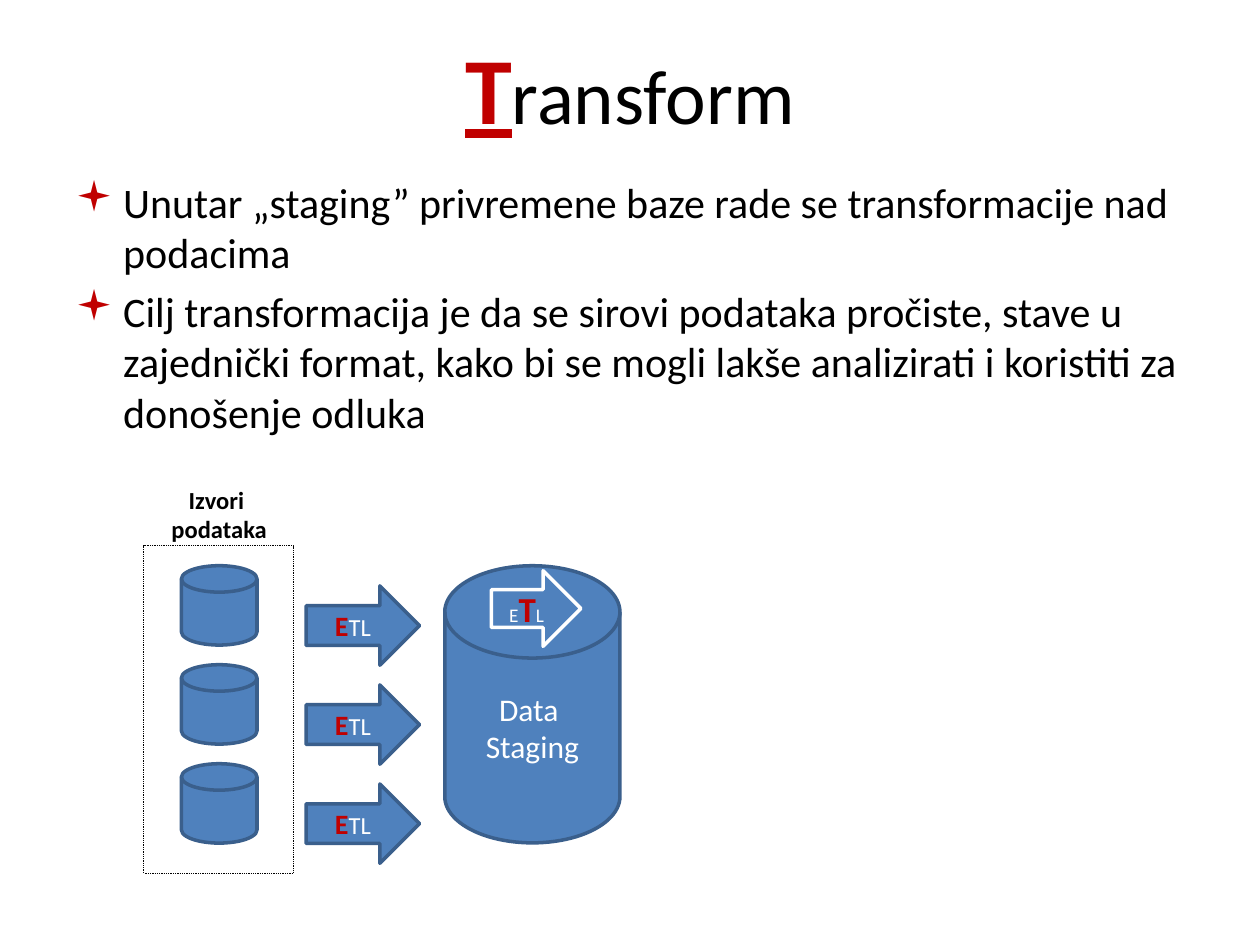
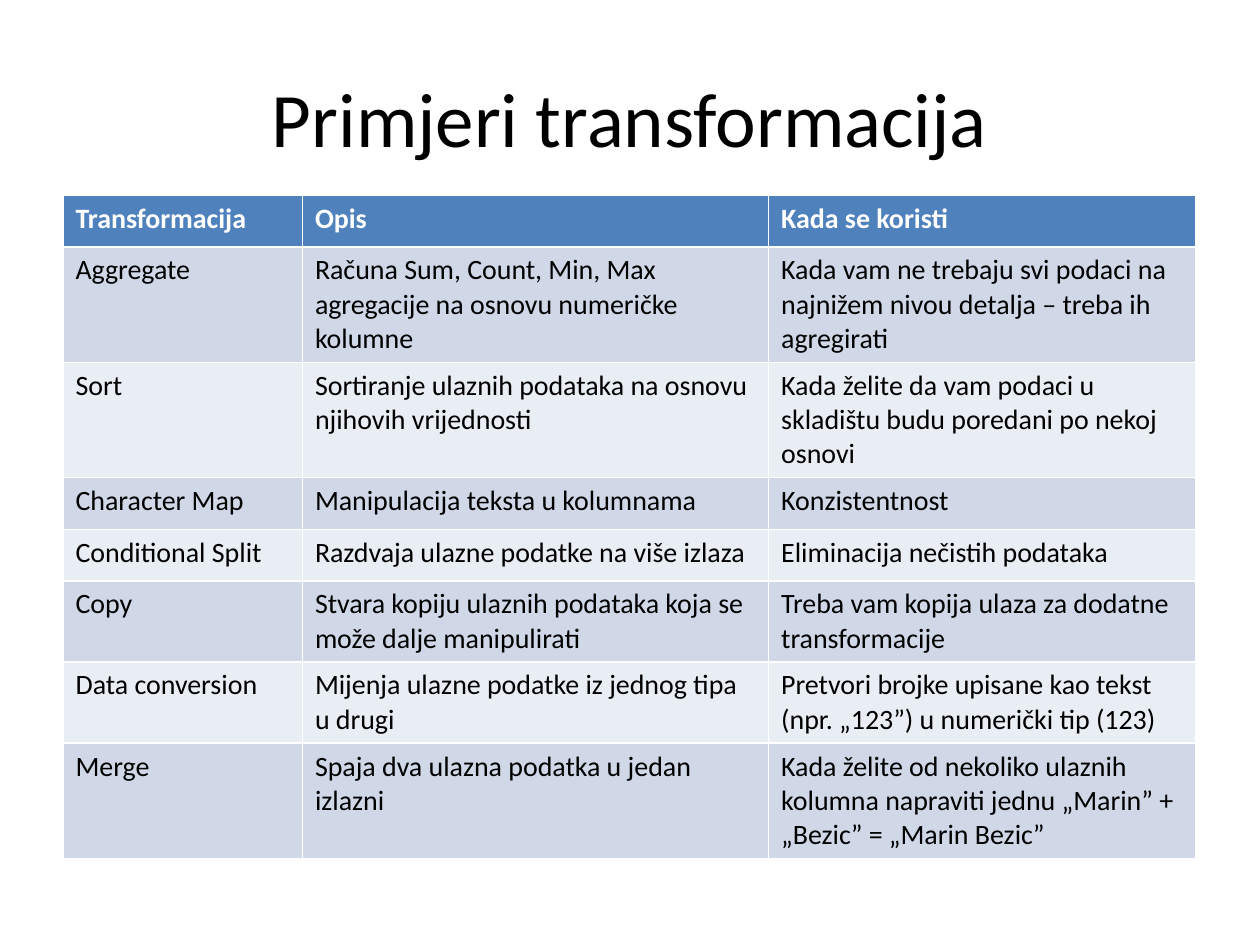
from lxml.etree import SubElement
from pptx import Presentation
from pptx.dml.color import RGBColor
from pptx.enum.dml import MSO_LINE
from pptx.enum.shapes import MSO_SHAPE as Shape
from pptx.enum.text import MSO_ANCHOR as Anchor, PP_ALIGN as Align
from pptx.oxml.ns import qn
from pptx.util import Pt

PX = 9144
FONT = "Calibri"
BLACK, WHITE, RED = "000000", "FFFFFF", "C00000"
BLUE, DARK_BLUE = "4F81BD", "3A5F8C"
BANDS = ("D0D8E8", "E9EDF4")

BULLETS = (
    "Unutar „staging” privremene baze rade se transformacije nad podacima",
    "Cilj transformacija je da se sirovi podataka pročiste, stave u zajednički "
    "format, kako bi se mogli lakše analizirati i koristiti za donošenje odluka",
)
TRANSFORMATIONS = (
    ("Transformacija", "Opis", "Kada se koristi"),
    ("Aggregate",
     "Računa Sum, Count, Min, Max agregacije na osnovu numeričke kolumne",
     "Kada vam ne trebaju svi podaci na najnižem nivou detalja – treba ih agregirati"),
    ("Sort",
     "Sortiranje ulaznih podataka na osnovu njihovih vrijednosti",
     "Kada želite da vam podaci u skladištu budu poredani po nekoj osnovi"),
    ("Character Map", "Manipulacija teksta u kolumnama", "Konzistentnost"),
    ("Conditional Split", "Razdvaja ulazne podatke na više izlaza",
     "Eliminacija nečistih podataka"),
    ("Copy",
     "Stvara kopiju ulaznih podataka koja se može dalje manipulirati",
     "Treba vam kopija ulaza za dodatne transformacije"),
    ("Data conversion",
     "Mijenja ulazne podatke iz jednog tipa u drugi",
     "Pretvori brojke upisane kao tekst (npr. „123”) u numerički tip (123)"),
    ("Merge",
     "Spaja dva ulazna podatka u jedan izlazni",
     "Kada želite od nekoliko ulaznih kolumna napraviti jednu „Marin” + "
     "„Bezic” = „Marin Bezic”"),
)


def px(*lengths):
    return [round(length * PX) for length in lengths]


def paint(color_format, color):
    color_format.rgb = RGBColor.from_string(color)


def fill(target, color):
    target.fill.solid()
    paint(target.fill.fore_color, color)


def style(run, size, color, bold=False):
    run.font.name = FONT
    run.font.size = Pt(size)
    run.font.bold = bold
    paint(run.font.color, color)


def write_lines(frame, lines, size, color, bold=False, align=Align.CENTER):
    frame.text = "\n".join(lines)
    for paragraph in frame.paragraphs:
        paragraph.alignment = align
        for run in paragraph.runs:
            style(run, size, color, bold)


def write_letters(frame, letters):
    paragraph = frame.paragraphs[0]
    paragraph.alignment = Align.CENTER
    for text, *look in letters:
        run = paragraph.add_run()
        run.text = text
        style(run, *look)


def add_titled_slide(deck, top, letters):
    slide = deck.slides.add_slide(deck.slide_layouts[5])
    title = slide.shapes.title
    title.left, title.top, title.width, title.height = px(50, top, 900, 125)
    title.text_frame.vertical_anchor = Anchor.MIDDLE
    write_letters(title.text_frame, letters)
    return slide


def add_bullets(slide, left, top, width, height):
    frame = slide.shapes.add_textbox(*px(left, top, width, height)).text_frame
    frame.word_wrap = True
    write_lines(frame, BULLETS, 24, BLACK, align=Align.LEFT)
    for paragraph in frame.paragraphs:
        paragraph.space_before = Pt(4.8)
        props = paragraph._p.get_or_add_pPr()
        indent, = px(38)
        props.set("marL", str(indent))
        props.set("indent", str(-indent))
        bullet_color = SubElement(props, qn("a:buClr"))
        SubElement(bullet_color, qn("a:srgbClr"), val=RED)
        SubElement(props, qn("a:buFont"), typeface="Wingdings")
        SubElement(props, qn("a:buChar"), char="▪")


def add_block(shapes, kind, box, outline=DARK_BLUE):
    block = shapes.add_shape(kind, *px(*box))
    block.shadow.inherit = False
    fill(block, BLUE)
    paint(block.line.color, outline)
    block.line.width = Pt(2)
    block.text_frame.word_wrap = True
    block.text_frame.vertical_anchor = Anchor.MIDDLE
    return block


def add_sources(shapes, left, top):
    frame = shapes.add_shape(Shape.RECTANGLE, *px(left, top, 119, 260))
    frame.shadow.inherit = False
    frame.fill.background()
    paint(frame.line.color, BLACK)
    frame.line.width = Pt(0.5)
    frame.line.dash_style = MSO_LINE.ROUND_DOT
    caption = shapes.add_textbox(*px(left + 12, top - 53, 96, 57)).text_frame
    caption.word_wrap = False
    write_lines(caption, ("Izvori ", "podataka"), 14, BLACK, bold=True)


def add_staging_flow(slide, left, top):
    shapes = slide.shapes.add_group_shape().shapes
    add_sources(shapes, left, top)
    for row in range(3):
        source_top = top + 16 + row * 78.6
        add_block(shapes, Shape.FLOWCHART_MAGNETIC_DISK, (left + 30, source_top, 60, 63))
        extract = add_block(shapes, Shape.RIGHT_ARROW, (left + 129, source_top + 16, 90, 63))
        write_letters(extract.text_frame, (("E", 16, RED, True), ("TL", 14, WHITE)))
    staging = add_block(shapes, Shape.FLOWCHART_MAGNETIC_DISK, (left + 239, top + 16, 139, 220))
    write_lines(staging.text_frame, ("Data ", "Staging"), 18, WHITE)
    transform = add_block(slide.shapes, Shape.RIGHT_ARROW, (left + 276, top + 20, 71, 60), WHITE)
    write_letters(transform.text_frame,
                  (("E", 11, WHITE), ("T", 20, RED, True), ("L", 11, WHITE)))


def add_transformation_table(slide, left, top, column_widths, row_height):
    rows = len(TRANSFORMATIONS)
    table = slide.shapes.add_table(
        rows, len(column_widths),
        *px(left, top, sum(column_widths), rows * row_height)).table
    for column, width in zip(table.columns, column_widths):
        column.width, = px(width)
    for row_index, texts in enumerate(TRANSFORMATIONS):
        header = row_index == 0
        for column_index, text in enumerate(texts):
            cell = table.cell(row_index, column_index)
            fill(cell, BLUE if header else BANDS[(row_index - 1) % 2])
            write_lines(cell.text_frame, (text,), 16,
                        WHITE if header else BLACK, header, Align.LEFT)


def main():
    deck = Presentation()
    deck.slide_width, deck.slide_height = px(1000, 750)

    transform = add_titled_slide(deck, 6, (("T", 54, RED, True), ("ransform", 44, BLACK)))
    transform.shapes.title.text_frame.paragraphs[0].runs[0].font.underline = True
    add_bullets(transform, 50, 135, 900, 231)
    add_staging_flow(transform, 114, 433)

    examples = add_titled_slide(deck, 30, (("Primjeri transformacija", 44, BLACK),))
    add_transformation_table(examples, 50, 155, (190, 370, 339), 41)

    deck.save("out.pptx")


if __name__ == "__main__":
    main()
